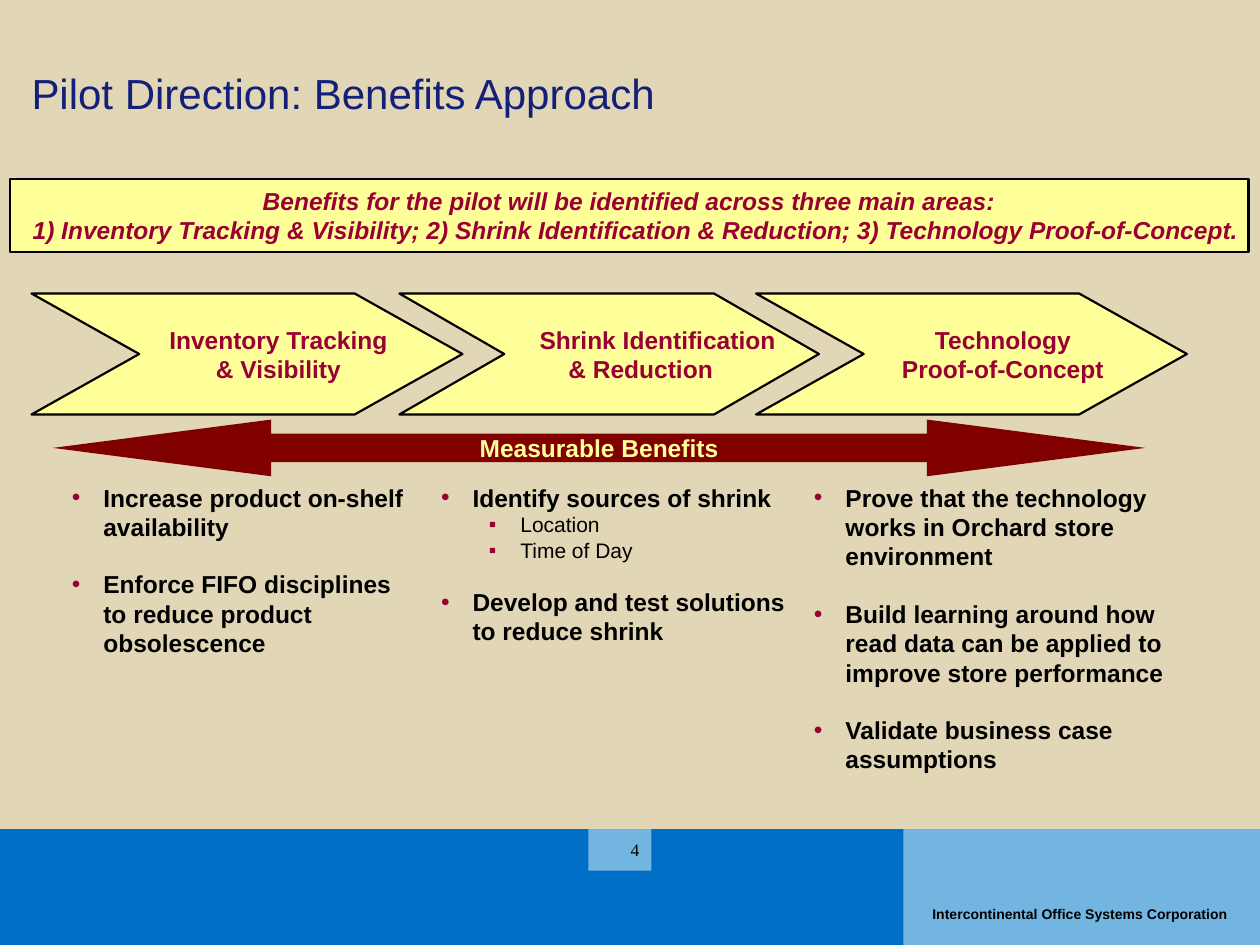
from pptx import Presentation
from pptx.dml.color import RGBColor
from pptx.enum.shapes import MSO_SHAPE as SHAPE
from pptx.enum.text import MSO_ANCHOR as ANCHOR, MSO_AUTO_SIZE as AUTO, PP_ALIGN as ALIGN
from pptx.oxml.ns import qn
from pptx.util import Inches, Pt
from lxml.etree import SubElement

TITLE = "Pilot Direction: Benefits Approach"
BANNER = [
    ("Benefits for the pilot will be identified across three main areas:", 0),
    ("1) Inventory Tracking & Visibility; 2) Shrink Identification & Reduction; "
     "3) Technology Proof-of-Concept.", 0.11),
]
ARROW = "Measurable Benefits"
FOOTER = "Intercontinental Office Systems Corporation"
PAGE = "4"

CHEVRONS = [
    (0.25, 3.42, [("Inventory Tracking", 0.5), ("& Visibility", 0.5)]),
    (3.17, 3.33, [("Shrink Identification", 0.77), ("& Reduction", 0.5)]),
    (6.0, 3.42, [("Technology", 0.5), ("Proof-of-Concept", 0.5)]),
]
COLUMNS = [
    (0.57, 2.68, [
        (0, "Increase product on-shelf availability", 0),
        (0, "Enforce FIFO disciplines to reduce product obsolescence", 16),
    ]),
    (3.5, 2.83, [
        (0, "Identify sources of shrink", 0),
        (1, "Location", 0),
        (1, "Time of Day", 0),
        (0, "Develop and test solutions to reduce shrink", 14),
    ]),
    (6.46, 2.79, [
        (0, "Prove that the technology works in Orchard store environment", 0),
        (0, "Build learning around how read data can be applied to "
            "improve store performance", 16),
        (0, "Validate business case assumptions", 16),
    ]),
]
BANDS = [
    (0, 6.58, 10, 0.92, "blue"),
    (7.17, 6.58, 2.83, 0.92, "sky"),
    (4.67, 6.58, 0.5, 0.33, "sky"),
]

THEME = {
    "font": "Arial", "page_font": "Times New Roman",
    "color": {"back": "E1D6B5", "blue": "006EC7", "sky": "73B5E1", "navy": "141F79",
              "cream": "FFFF99", "wine": "990033", "maroon": "800000", "ink": "000000"},
    "size": {"title": 24, "text": 14, "sub": 12, "page": 10, "footer": 8},
}
LEVELS = [("•", 0.25, "text", True), ("▪", 0.63, "sub", False)]
HANG = 0.25


def rgb(name):
    return RGBColor.from_string(THEME["color"][name])


def frame(sp, anchor=ANCHOR.TOP, wrap=True):
    tf = sp.text_frame
    tf.margin_left = tf.margin_right = tf.margin_top = tf.margin_bottom = 0
    tf.auto_size = AUTO.NONE
    tf.vertical_anchor = anchor
    tf.word_wrap = wrap
    return tf


def next_p(tf, i):
    return tf.add_paragraph() if i else tf.paragraphs[0]


def add_run(p, text, size, color, bold=False, italic=False, font="font"):
    r = p.add_run()
    r.text = text
    r.font.name = THEME[font]
    r.font.size = Pt(THEME["size"][size])
    r.font.color.rgb = rgb(color)
    r.font.bold = bold
    r.font.italic = italic


def paint(sp, fill, outlined=False):
    sp.shadow.inherit = False
    sp.fill.solid()
    sp.fill.fore_color.rgb = rgb(fill)
    if outlined:
        sp.line.color.rgb = rgb("ink")
        sp.line.width = Pt(1.25)
    else:
        sp.line.fill.background()
    return sp


def place(sp, *box):
    sp.left, sp.top, sp.width, sp.height = map(Inches, box)


def add_preset(slide, kind, box, fill, outlined=False):
    return paint(slide.shapes.add_shape(kind, *map(Inches, box)), fill, outlined)


def add_centred(tf, lines, color, italic=False):
    for i, (text, indent) in enumerate(lines):
        p = next_p(tf, i)
        p.alignment = ALIGN.CENTER
        p._p.get_or_add_pPr().set("marL", str(Inches(indent)))
        add_run(p, text, "text", color, True, italic)


def add_chevron(slide, left, width, lines, top=2.33, height=0.96):
    outline = [(0, 0), (0.75, 0), (1, 0.5), (0.75, 1), (0, 1), (0.25, 0.5)]
    points = [(Inches(left + x * width), Inches(top + y * height)) for x, y in outline]
    builder = slide.shapes.build_freeform(*points[0])
    builder.add_line_segments(points[1:], close=True)
    sp = paint(builder.convert_to_shape(), "cream", True)
    add_centred(frame(sp, ANCHOR.MIDDLE, False), lines, "wine")


def add_bullets(sp, items):
    tf = frame(sp)
    for i, (level, text, before) in enumerate(items):
        mark, indent, size, bold = LEVELS[level]
        p = next_p(tf, i)
        p.level = level
        p.alignment = ALIGN.LEFT
        p.space_before = Pt(before)
        pPr = p._p.get_or_add_pPr()
        pPr.set("marL", str(Inches(indent)))
        pPr.set("indent", str(-Inches(HANG)))
        clr = SubElement(pPr, qn("a:buClr"))
        SubElement(clr, qn("a:srgbClr")).set("val", THEME["color"]["wine"])
        SubElement(pPr, qn("a:buFont")).set("typeface", THEME["font"])
        SubElement(pPr, qn("a:buChar")).set("char", mark)
        add_run(p, text, size, "ink", bold)


def main():
    prs = Presentation()
    prs.slide_width, prs.slide_height = Inches(10), Inches(7.5)
    slide = prs.slides.add_slide(prs.slide_layouts.get_by_name("Comparison"))
    slide.background.fill.solid()
    slide.background.fill.fore_color.rgb = rgb("back")

    for *box, fill in BANDS:
        add_preset(slide, SHAPE.RECTANGLE, box, fill)

    sp = slide.shapes.title
    place(sp, 0.25, 0.08, 9.5, 0.86)
    p = frame(sp, ANCHOR.BOTTOM).paragraphs[0]
    p.alignment = ALIGN.LEFT
    p.line_spacing = 0.9
    add_run(p, TITLE, "title", "navy")

    bodies = list(slide.placeholders)[1:]
    for sp, (left, width, items) in zip(bodies, COLUMNS):
        place(sp, left, 3.83, width, 2.09)
        add_bullets(sp, items)
    for sp in bodies[len(COLUMNS):]:
        sp.element.getparent().remove(sp.element)

    for left, width, lines in CHEVRONS:
        add_chevron(slide, left, width, lines)

    sp = add_preset(slide, SHAPE.LEFT_RIGHT_ARROW, (0.42, 3.33, 8.67, 0.45), "maroon")
    sp.adjustments[0], sp.adjustments[1] = 0.5, 3.85
    add_centred(frame(sp, ANCHOR.MIDDLE, False), [(ARROW, 0)], "cream")

    sp = add_preset(slide, SHAPE.RECTANGLE, (0.08, 1.42, 9.83, 0.58), "cream", True)
    add_centred(frame(sp, ANCHOR.MIDDLE), BANNER, "wine", True)

    sp = slide.shapes.add_textbox(*map(Inches, (7.4, 7.19, 2.5, 0.14)))
    add_run(frame(sp).paragraphs[0], FOOTER, "footer", "ink", True)

    sp = slide.shapes.add_textbox(*map(Inches, (4.67, 6.62, 0.5, 0.25)))
    p = frame(sp, ANCHOR.MIDDLE).paragraphs[0]
    p.alignment = ALIGN.CENTER
    p._p.get_or_add_pPr().set("marL", str(Inches(0.24)))
    add_run(p, PAGE, "page", "ink", font="page_font")

    prs.save("out.pptx")


if __name__ == "__main__":
    main()
